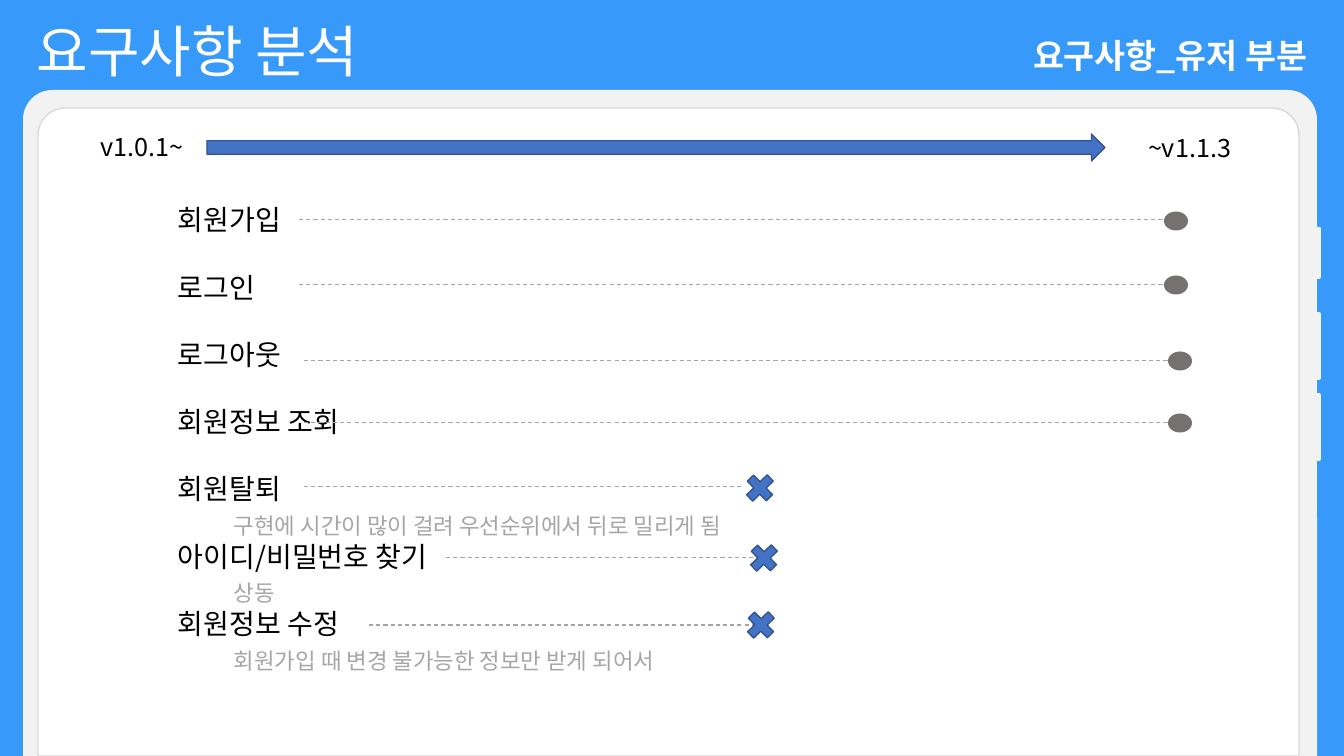
from lxml import etree
from pptx import Presentation
from pptx.dml.color import RGBColor
from pptx.enum.dml import MSO_LINE
from pptx.enum.shapes import MSO_CONNECTOR, MSO_SHAPE
from pptx.enum.text import PP_ALIGN
from pptx.oxml.ns import qn
from pptx.util import Pt

ROUND = MSO_SHAPE.ROUND_2_SAME_RECTANGLE
ARROW, DOT, CROSS = MSO_SHAPE.RIGHT_ARROW, MSO_SHAPE.OVAL, MSO_SHAPE.MATH_PLUS
STRAIGHT, DASH = MSO_CONNECTOR.STRAIGHT, MSO_LINE.DASH
LEFT, RIGHT = PP_ALIGN.LEFT, PP_ALIGN.RIGHT

# Content: label, note, line start, line end, line y, mark kind, mark centre (px)
TITLE = "요구사항 분석"
PART = "요구사항_유저 부분"
FIRST, LAST = "v1.0.1~", "~v1.1.3"
ITEMS = [
    ("회원가입", "", 299, 1178, 220, DOT, (1176, 221)),
    ("로그인", "", 299, 1178, 285, DOT, (1176, 285)),
    ("로그아웃", "", 304, 1183, 361, DOT, (1180, 361)),
    ("회원정보 조회", "", 304, 1183, 423, DOT, (1180, 423)),
    ("회원탈퇴", "구현에 시간이 많이 걸려 우선순위에서 뒤로 밀리게 됨",
     304, 741, 487, CROSS, (760, 488)),
    ("아이디/비밀번호 찾기", "상동", 446, 766, 558, CROSS, (764, 558)),
    ("회원정보 수정", "회원가입 때 변경 불가능한 정보만 받게 되어서",
     369, 761, 625, CROSS, (761, 625)),
]
KEYS = [(253, 52), (346, 68), (427, 68)]  # side buttons: centre y, length

THEME = {
    "font": "Noto Sans CJK KR",
    "back": "3799FA", "case": "F2F2F2", "screen": "FFFFFF", "rim": "D9D9D9",
    "ink": "000000", "note": "A6A6A6", "dash": "A5A5A5",
    "dot": "767171", "blue": "4472C4", "edge": "325491",
    "title": 40, "part": 24, "item": 20, "version": 18, "small": 16,
}
LEADING = 1.2
INDENT = 56
DOT_SIZE, CROSS_SIZE, CROSS_TURN = (24, 19), (37, 39), 45.9


def px(n):
    return round(n * 914400 / 100.8)


def color(name):
    return RGBColor.from_string(THEME[name])


def put(kind, box, fill, line=None, turn=0, adjust=()):
    shape = slide.shapes.add_shape(kind, *map(px, box))
    shape.shadow.inherit = False
    shape.fill.solid()
    shape.fill.fore_color.rgb = color(fill)
    if line:
        shape.line.color.rgb = color(line)
        shape.line.width = Pt(1)
    else:
        shape.line.fill.background()
    shape.rotation = turn
    for i, value in enumerate(adjust):
        shape.adjustments[i] = value


def mark(kind, mid):
    size = DOT_SIZE if kind == DOT else CROSS_SIZE
    box = (mid[0] - size[0] / 2, mid[1] - size[1] / 2, *size)
    if kind == DOT:
        put(kind, box, "dot")
    else:
        put(kind, box, "blue", "edge", CROSS_TURN)


def dashes(start, end, y):
    line = slide.shapes.add_connector(STRAIGHT, px(start), px(y), px(end), px(y))
    line.line.color.rgb = color("dash")
    line.line.width = Pt(0.75)
    line.line.dash_style = DASH
    etree.SubElement(line._element.spPr, qn("a:effectLst"))


def write(box, rows, align=LEFT, bold=False):
    """Each row is text, size name, colour name, indent, points after, leading size."""
    frame = slide.shapes.add_textbox(*map(px, box)).text_frame
    frame.word_wrap = True
    for i, (text, size, ink, indent, after, lead) in enumerate(rows):
        para = frame.add_paragraph() if i else frame.paragraphs[0]
        para.text = text
        para.alignment = align
        para.line_spacing = Pt(THEME[lead] * LEADING)
        para.space_after = Pt(after)
        font = para.font
        font.name = THEME["font"]
        font.size = Pt(THEME[size])
        font.bold = bold
        font.color.rgb = color(ink)
        props = para._p.get_or_add_pPr()
        props.set("marL", str(px(indent)))
        east = etree.SubElement(props.find(qn("a:defRPr")), qn("a:ea"))
        east.set("typeface", THEME["font"])


def label(box, text, size, ink, align=LEFT, bold=False):
    write(box, [(text, size, ink, 0, 0, size)], align, bold)


deck = Presentation()
deck.slide_width, deck.slide_height = px(1344), px(756)
slide = deck.slides.add_slide(deck.slide_layouts[6])
slide.background.fill.solid()
slide.background.fill.fore_color.rgb = color("back")

put(ROUND, (23, 90, 1294, 666), "case", adjust=(0.044, 0))
for mid, size in KEYS:
    put(ROUND, (1319 - size / 2, mid - 2, size, 4), "case", turn=90, adjust=(0.5, 0))
put(ROUND, (38, 108, 1261, 648), "screen", "rim", adjust=(0.042, 0))

label((867, 30, 450, 50), PART, "part", "screen", RIGHT, True)
label((27, 12, 642, 78), TITLE, "title", "screen")
label((91, 126, 130, 40), FIRST, "version", "ink")
label((1107, 127, 134, 40), LAST, "version", "ink", RIGHT)

rows = []
for name, note, *_ in ITEMS:
    gap = 0 if note else THEME["item"] * LEADING
    rows.append((name, "item", "ink", 0, gap, "item"))
    if note:
        rows.append((note, "small", "note", INDENT, 0, "item"))
write((168, 198, 975, 485), rows)

for _, _, start, end, y, kind, mid in ITEMS:
    dashes(start, end, y)
    mark(kind, mid)
put(ARROW, (207, 134, 898, 27), "blue", "edge")

deck.save("out.pptx")
